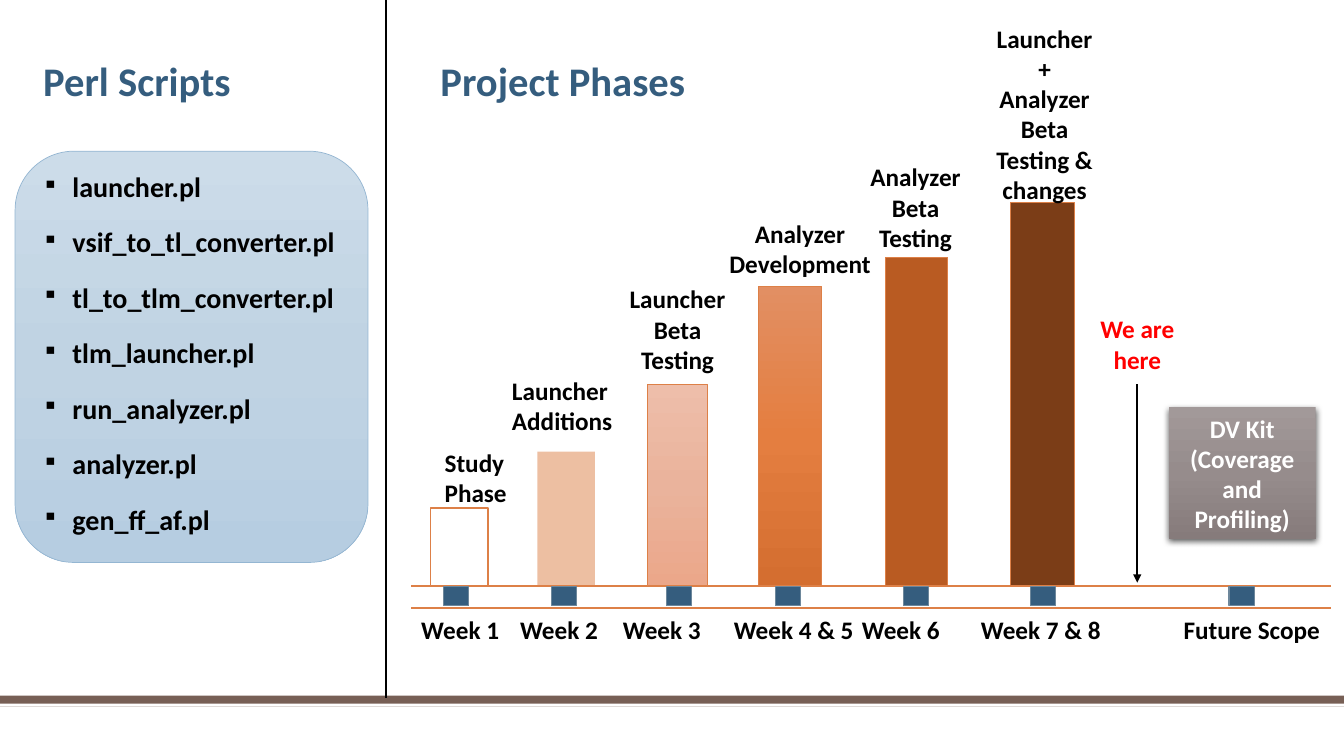
from copy import deepcopy
from lxml import etree
from pptx import Presentation
from pptx.dml.color import RGBColor
from pptx.enum.shapes import MSO_CONNECTOR, MSO_SHAPE
from pptx.enum.text import MSO_ANCHOR, MSO_AUTO_SIZE, PP_ALIGN
from pptx.oxml.ns import qn
from pptx.util import Inches, Pt

RECT, ROUND = MSO_SHAPE.RECTANGLE, MSO_SHAPE.ROUNDED_RECTANGLE
LINE = MSO_CONNECTOR.STRAIGHT
TOP, MID = MSO_ANCHOR.TOP, MSO_ANCHOR.MIDDLE
LEFT, CENTER = PP_ALIGN.LEFT, PP_ALIGN.CENTER
GROW = MSO_AUTO_SIZE.SHAPE_TO_FIT_TEXT

# Content
WIDE, HIGH = 13.33, 7.5
BLACK, WHITE, RED = "000000", "FFFFFF", "FF0000"
BLUE, ORANGE, BROWN = "355D7E", "DD8047", "775F55"

TITLES = [("Perl Scripts", 0.33), ("Project Phases", 4.27)]
SCRIPTS = ["launcher.pl", "vsif_to_tl_converter.pl", "tl_to_tlm_converter.pl",
           "tlm_launcher.pl", "run_analyzer.pl", "analyzer.pl", "gen_ff_af.pl"]

# Bars: left, width, top, fill, edge width
BARS = [
    (4.27, 0.57, 5.04, WHITE, 1),
    (5.33, 0.57, 4.48, ORANGE, 0),
    (6.42, 0.60, 3.81, ("EEBEAA", "EAB39C", "EBA78A"), 0.5),
    (7.52, 0.63, 2.84, ("E28F63", "E47E40", "D46E30"), 0.5),
    (8.78, 0.62, 2.55, "B95B22", 0.5),
    (10.02, 0.64, 2.01, "7B3D17", 0.5),
]
# Labels: paragraphs, left, top, width, rows, format
LABELS = [
    (["Study Phase"], 4.22, 4.38, 1, 2, {"align": LEFT, "inset": 0.19}),
    (["Launcher", "Additions"], 4.98, 3.67, 1.27, 2,
     {"align": LEFT, "wrap": False}),
    (["Launcher Beta Testing"], 6.08, 2.76, 1.28, 3, {}),
    (["Analyzer Development"], 7.12, 2.11, 1.63, 2, {}),
    (["Analyzer Beta Testing"], 8.44, 1.55, 1.28, 3, {}),
    (["Launcher +", "Analyzer Beta Testing & changes"],
     9.72, 0.17, 1.28, 6, {}),
    (["We are here"], 10.64, 3.06, 1.28, 2, {"color": RED}),
]
# Time line: name, left, width, tick left
WEEKS = [
    ("Week 1", 4.08, 1.33, 4.40), ("Week 2", 5.06, 1.33, 5.47),
    ("Week 3", 6.08, 1.33, 6.61), ("Week 4 & 5", 7.18, 1.45, 7.69),
    ("Week 6", 8.45, 1.45, 8.96), ("Week 7 & 8", 9.63, 1.45, 10.22),
    ("Future Scope", 11.64, 1.73, 12.19),
]
KIT = "DV Kit (Coverage and Profiling)"
BASE, GAP, ROW = 5.81, 0.22, 0.303

deck = Presentation()
deck.slide_width, deck.slide_height = Inches(WIDE), Inches(HIGH)
slide = deck.slides.add_slide(deck.slide_layouts[6])
shapes = slide.shapes


def rgb(code):
    return RGBColor.from_string(code)


def apply(item, values):
    for name, value in values.items():
        setattr(item, name, value)


def node(parent, tag, **values):
    return etree.SubElement(parent, qn(tag),
                            {k: str(v) for k, v in values.items()})


def paint(shape, fill):
    if isinstance(fill, str):
        shape.fill.solid()
        shape.fill.fore_color.rgb = rgb(fill)
        return
    shape.fill.gradient()
    shape.fill.gradient_angle = 270
    stops = shape._element.spPr.find(".//" + qn("a:gsLst"))
    stops.insert(1, deepcopy(stops[0]))
    for i, (stop, code) in enumerate(zip(shape.fill.gradient_stops, fill)):
        apply(stop, {"position": i / 2})
        stop.color.rgb = rgb(code)


def block(x, y, w, h, fill, edge=None, thick=0, kind=RECT):
    shape = shapes.add_shape(kind, *map(Inches, (x, y, w, h)))
    shape.shadow.inherit = False
    paint(shape, fill)
    if thick:
        shape.line.color.rgb = rgb(edge)
        shape.line.width = Pt(thick)
    else:
        shape.line.fill.background()
    return shape


def rule(x1, y1, x2, y2, color=BLACK):
    line = shapes.add_connector(LINE, *map(Inches, (x1, y1, x2, y2)))
    line.line.color.rgb = rgb(color)
    line.line.width = Pt(1.5)
    node(line._element.spPr, "a:effectLst")
    return line


def write(shape, lines, size=18, color=BLACK, align=CENTER, anchor=MID,
          wrap=True, inset=0.1, grow=GROW, para={}):
    frame = shape.text_frame
    frame.text = "\n".join(lines)
    apply(frame, {"word_wrap": wrap, "auto_size": grow,
                  "vertical_anchor": anchor, "margin_left": Inches(inset)})
    for p in frame.paragraphs:
        apply(p, {"alignment": align, **para})
        apply(p.runs[0].font, {"name": "Calibri", "size": Pt(size),
                               "bold": True})
        p.runs[0].font.color.rgb = rgb(color)
    return frame


def label(lines, x, y, w, h, **form):
    write(shapes.add_textbox(*map(Inches, (x, y, w, h))), lines, **form)


# Bottom band, divider and titles
block(0, 6.9, WIDE, 0.11, BROWN)
block(0, 6.98, WIDE, 0.03, WHITE)
rule(3.83, 0, 3.83, 6.92)
for name, x in TITLES:
    label([name], x, 0.51, 3.75, 0.59, size=29, color=BLUE,
          align=LEFT, anchor=TOP)

# Script list
panel = block(0.15, 1.5, 3.5, 4.08, ("CCDCE9", "C0D3E3", "B6CDE1"),
              "94B6D2", 0.5, ROUND)
frame = write(panel, SCRIPTS, size=20, align=LEFT, anchor=TOP,
              grow=MSO_AUTO_SIZE.NONE,
              para={"line_spacing": 0.9, "space_before": Pt(18)})
for p in frame.paragraphs:
    props = p._p.get_or_add_pPr()
    props.set("marL", str(Inches(0.3)))
    props.set("indent", str(-Inches(0.3)))
    node(node(props, "a:buClr"), "a:srgbClr", val=BLACK)
    node(props, "a:buSzPct", val=80000)
    node(props, "a:buChar", char="▪")

# Time line
for y in (BASE, BASE + GAP):
    rule(4.08, y, 13.2, y, ORANGE)
for name, x, w, tick in WEEKS:
    block(tick, BASE + 0.01, 0.25, 0.19, BLUE, "6D879B", 1)
    label([name], x, 6.04, w, 0.4, align=LEFT, wrap=False)

# Phase bars and their labels
for x, w, top, fill, thick in BARS:
    bar = block(x, top, w, BASE - top, fill, ORANGE, thick)
    if not thick:
        node(bar._element.spPr.find(".//" + qn("a:srgbClr")),
             "a:alpha", val=50000)
for lines, x, y, w, rows, form in LABELS:
    label(lines, x, y, w, 0.1 + ROW * rows, **form)

# Arrow to the present
arrow = rule(11.28, 3.81, 11.28, 5.78)
node(arrow.line._get_or_add_ln(), "a:tailEnd", type="triangle")

# Future kit with soft shadow
kit = block(11.59, 4.04, 1.46, 1.31, ("A29999", "968C8C", "867B7B"))
write(kit, [KIT], color=WHITE)
glow = node(kit._element.spPr.find(qn("a:effectLst")), "a:outerShdw",
            blurRad=Pt(4.5), dist=Pt(1.5), dir=5400000, rotWithShape=0)
node(node(glow, "a:srgbClr", val=BLACK), "a:alpha", val=63000)

deck.save("out.pptx")
